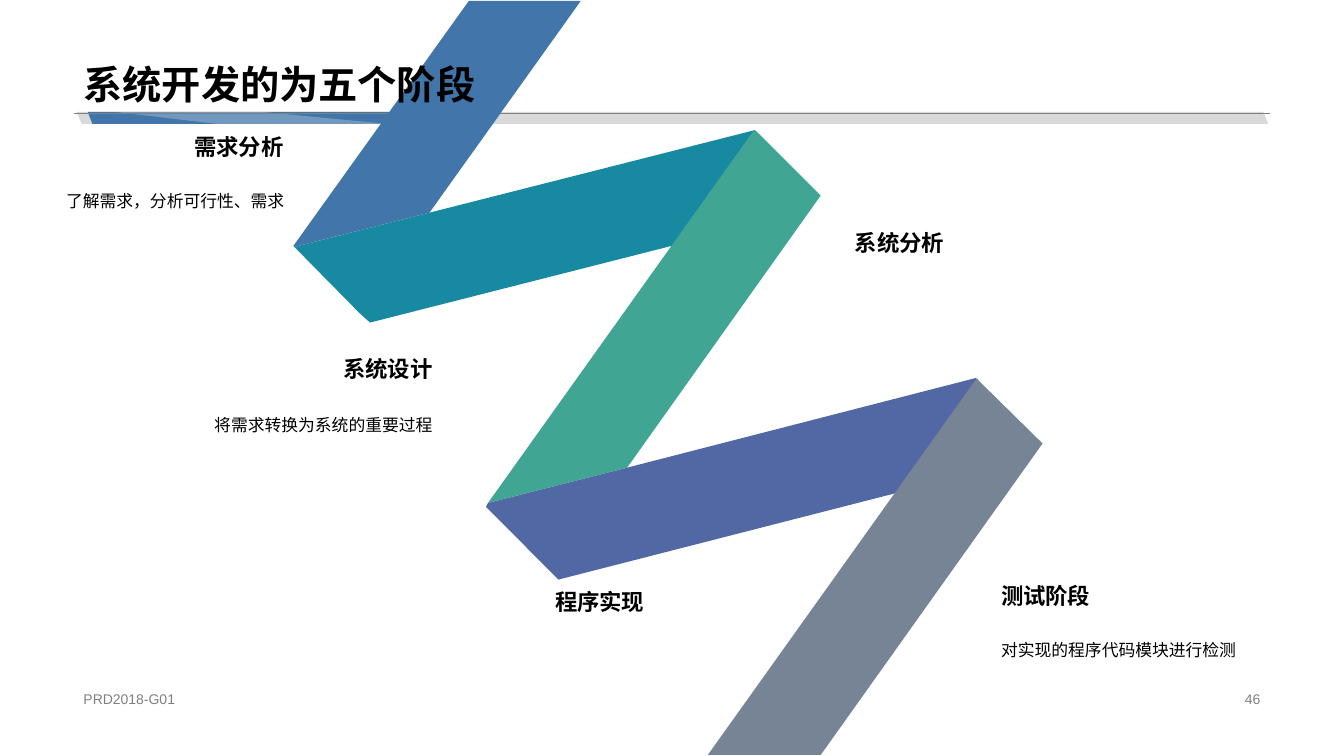
from dataclasses import dataclass

from lxml import etree
from pptx import Presentation
from pptx.dml.color import RGBColor
from pptx.enum.shapes import MSO_CONNECTOR, MSO_SHAPE
from pptx.enum.text import MSO_ANCHOR, PP_ALIGN
from pptx.oxml.ns import qn
from pptx.util import Pt

LEFT, RIGHT = PP_ALIGN.LEFT, PP_ALIGN.RIGHT
MIDDLE, BOTTOM = MSO_ANCHOR.MIDDLE, MSO_ANCHOR.BOTTOM
SLANT = MSO_SHAPE.PARALLELOGRAM
STRAIGHT = MSO_CONNECTOR.STRAIGHT
SCALE = 9144  # EMU per px, 100 px to the inch
FONT = "Arial"
BLACK, GRAY, WHITE, BLUE = "000000", "808080", "FFFFFF", "4276AA"


@dataclass
class Bar:
    left: int
    width: int
    slant: float
    fill: str


@dataclass
class Band:
    fill: str
    dots: list[tuple[int, int]]


@dataclass
class Label:
    text: str
    box: tuple[int, int, int, int]
    size: int = 16
    bold: bool = True
    align: int = LEFT
    color: str = BLACK
    space: float = 1.0


BARS = [Bar(76, 1182, 0.42, "D9D9D9"), Bar(87, 312, 0.39, BLUE)]
SHEEN = Band(WHITE, [(385, 123), (260, 111), (114, 111), (216, 123)])
BANDS = [
    Band("5268A5", [(968, 375), (622, 464), (484, 499), (482, 503),
                    (554, 575), (991, 463)]),
    Band("178AA1", [(749, 129), (426, 211), (292, 245), (356, 310),
                    (367, 320), (772, 217)]),
    Band(BLUE, [(292, 245), (426, 211), (576, 1), (465, 1), (291, 244)]),
    Band("778495", [(970, 377), (969, 375), (702, 749), (814, 749),
                    (1034, 440)]),
    Band("40A693", [(814, 194), (750, 130), (748, 129), (484, 499),
                    (622, 464)]),
]
HEADS = [
    Label("需求分析", (63, 126, 228, 38), align=RIGHT),
    Label("系统分析", (838, 222, 269, 38)),
    Label("系统设计", (176, 347, 263, 38), align=RIGHT),
    Label("程序实现", (386, 578, 263, 38), align=RIGHT),
    Label("测试阶段", (983, 572, 269, 38)),
]
NOTES = [
    Label("了解需求，分析可行性、需求", (29, 162, 263, 64), 12, False, RIGHT,
          space=1.5),
    Label("将需求转换为系统的重要过程", (176, 384, 263, 64), 12, False, RIGHT,
          space=1.5),
    Label("对实现的程序代码模块进行检测", (983, 608, 269, 64), 12, False,
          space=1.5),
]
FOOT = [
    Label("PRD2018-G01", (73, 682, 453, 23), 10, False, color=GRAY),
    Label("46", (942, 682, 318, 23), 10, False, RIGHT, GRAY),
]
TITLE = Label("系统开发的为五个阶段", (73, 0, 1187, 112), 28, space=0.9)


def px(num: int) -> int:
    return num * SCALE


def rgb(code: str) -> RGBColor:
    return RGBColor.from_string(code)


def paint(shape, code: str) -> None:
    shape.shadow.inherit = False
    shape.fill.solid()
    shape.fill.fore_color.rgb = rgb(code)
    shape.line.fill.background()


def add_bar(slide, bar: Bar) -> None:
    shape = slide.shapes.add_shape(
        SLANT, px(bar.left), px(111), px(bar.width), px(12))
    shape.adjustments[0] = bar.slant
    shape.element.spPr.find(qn("a:xfrm")).set("flipH", "1")
    paint(shape, bar.fill)


def add_band(slide, band: Band):
    start, *rest = band.dots
    pen = slide.shapes.build_freeform(*start, scale=SCALE)
    pen.add_line_segments(rest, close=True)
    shape = pen.convert_to_shape()
    paint(shape, band.fill)
    return shape


def add_rule(slide) -> None:
    rule = slide.shapes.add_connector(
        STRAIGHT, px(73), px(112), px(1260), px(112))
    rule.line.color.rgb = rgb(GRAY)
    rule.line.width = Pt(0.25)
    etree.SubElement(rule.element.spPr, qn("a:effectLst"))


def set_text(shape, label: Label, anchor: int) -> None:
    frame = shape.text_frame
    frame.word_wrap = True
    frame.vertical_anchor = anchor
    para = frame.paragraphs[0]
    para.alignment = label.align
    para.line_spacing = label.space
    run = para.add_run()
    run.text = label.text
    run.font.name = FONT
    run.font.size = Pt(label.size)
    run.font.bold = label.bold
    run.font.color.rgb = rgb(label.color)


def add_label(slide, label: Label) -> None:
    box = slide.shapes.add_textbox(*map(px, label.box))
    set_text(box, label, MIDDLE)


def add_title(slide, label: Label) -> None:
    title = slide.shapes.title
    title.left, title.top, title.width, title.height = map(px, label.box)
    set_text(title, label, BOTTOM)
    # Bring the title in front of the ribbon
    title.element.getparent().append(title.element)


def main() -> None:
    deck = Presentation()
    deck.slide_width, deck.slide_height = px(1333), px(750)
    slide = deck.slides.add_slide(deck.slide_layouts[5])

    # Header bars with a pale sheen and a thin rule
    for bar in BARS:
        add_bar(slide, bar)
    sheen = add_band(slide, SHEEN)
    tint = next(sheen.element.spPr.iter(qn("a:srgbClr")))
    etree.SubElement(tint, qn("a:alpha"), val="25000")
    add_rule(slide)

    # Folded ribbon
    for band in BANDS:
        add_band(slide, band)

    # Title, stages and footer
    add_title(slide, TITLE)
    for label in HEADS + NOTES + FOOT:
        add_label(slide, label)

    deck.save("out.pptx")


if __name__ == "__main__":
    main()
